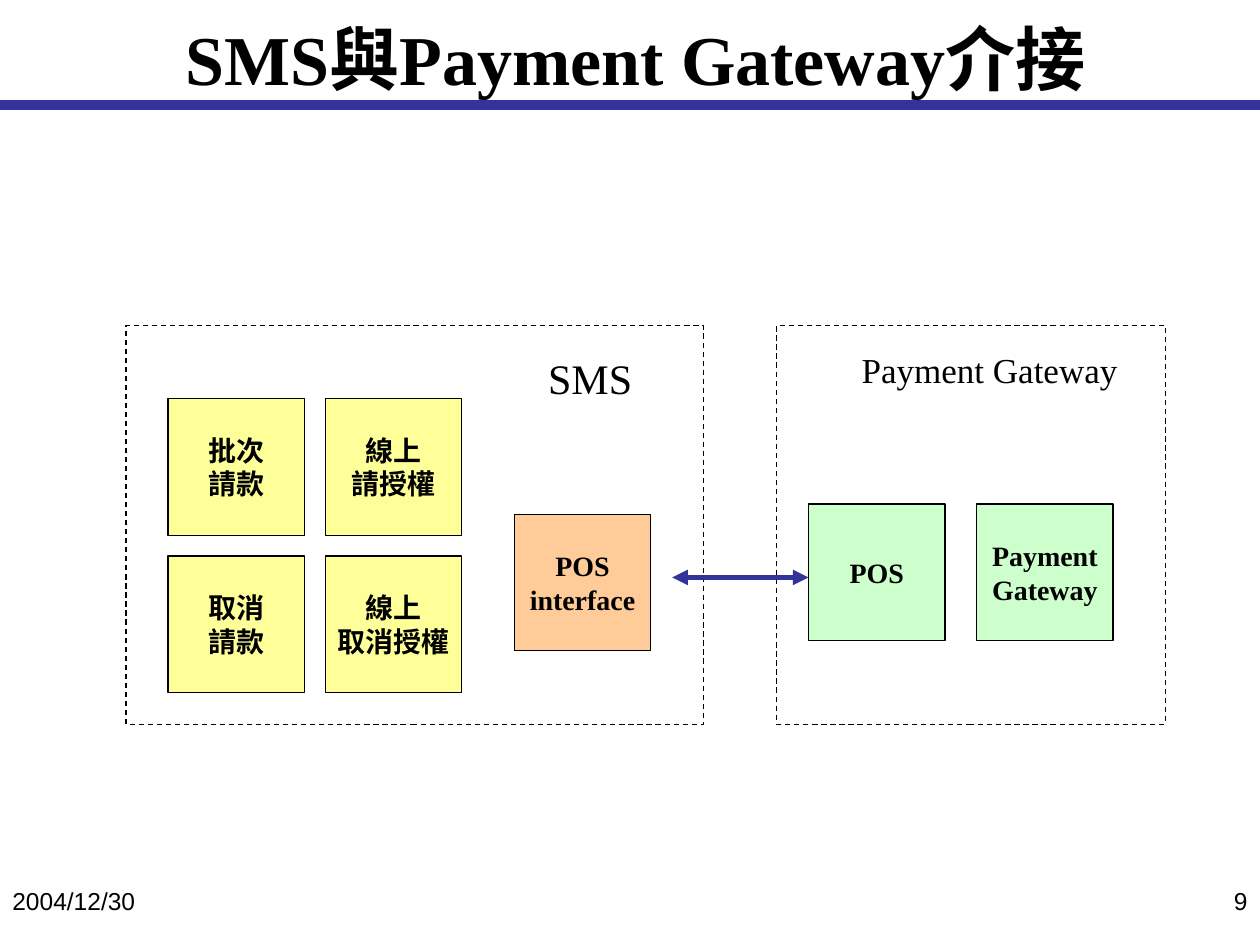
from lxml.etree import SubElement
from pptx import Presentation
from pptx.dml.color import RGBColor
from pptx.enum.dml import MSO_LINE
from pptx.enum.shapes import MSO_CONNECTOR, MSO_SHAPE
from pptx.enum.text import MSO_ANCHOR, PP_ALIGN
from pptx.oxml.ns import qn
from pptx.util import Cm, Pt

COLORS = {
    "black": "000000",
    "blue": "333399",
    "yellow": "FFFF99",
    "orange": "FFCC99",
    "green": "CCFFCC",
}
SERIF = "Times New Roman"
SIDE = 2.75
STEP = SIDE + 0.42


def write(shape, lines, size, font=SERIF, bold=False, align=PP_ALIGN.CENTER,
          anchor=MSO_ANCHOR.MIDDLE, wrap=False):
    frame = shape.text_frame
    frame.word_wrap = wrap
    frame.vertical_anchor = anchor
    for index, line in enumerate(lines):
        para = frame.add_paragraph() if index else frame.paragraphs[0]
        para.alignment = align
        span = para.add_run()
        span.text = line
        span.font.name = font
        span.font.size = Pt(size)
        span.font.bold = bold
        span.font.color.rgb = RGBColor.from_string(COLORS["black"])


def draw_line(page, left, right, height, width):
    line = page.shapes.add_connector(
        MSO_CONNECTOR.STRAIGHT, Cm(left), Cm(height), Cm(right), Cm(height))
    line.line.color.rgb = RGBColor.from_string(COLORS["blue"])
    line.line.width = Pt(width)
    SubElement(line.element.spPr, qn("a:effectLst"))
    return line


deck = Presentation()
deck.slide_width = Cm(25.4)
deck.slide_height = Cm(19.05)
page = deck.slides.add_slide(deck.slide_layouts[5])

title = page.shapes.title
title.left, title.top, title.width, title.height = Cm(0.64), Cm(0), Cm(24.34), Cm(2.33)
write(title, ["SMS與Payment Gateway介接"], 40, bold=True, wrap=True)

title_rule = draw_line(page, 0, 25.4, 2.12, 6)
title.element.addprevious(title_rule.element)

for left, width in [(2.54, 11.64), (15.66, 7.83)]:
    system = page.shapes.add_shape(
        MSO_SHAPE.RECTANGLE, Cm(left), Cm(6.56), Cm(width), Cm(8.04))
    system.shadow.inherit = False
    system.fill.background()
    system.line.color.rgb = RGBColor.from_string(COLORS["black"])
    system.line.width = Pt(0.75)
    system.line.dash_style = MSO_LINE.DASH

modules = [
    (10.37, 10.37, "orange", ["POS", "interface"]),
    (16.3, 10.16, "green", ["POS"]),
    (19.69, 10.16, "green", ["Payment", "Gateway"]),
]
functions = [
    [["批次", "請款"], ["線上", "請授權"]],
    [["取消", "請款"], ["線上", "取消授權"]],
]
for row, labels in enumerate(functions):
    for column, lines in enumerate(labels):
        modules.append((3.39 + STEP * column, 8.04 + STEP * row, "yellow", lines))

for left, top, color, lines in modules:
    box = page.shapes.add_shape(
        MSO_SHAPE.RECTANGLE, Cm(left), Cm(top), Cm(SIDE), Cm(SIDE))
    box.shadow.inherit = False
    box.fill.solid()
    box.fill.fore_color.rgb = RGBColor.from_string(COLORS[color])
    box.line.color.rgb = RGBColor.from_string(COLORS["black"])
    box.line.width = Pt(0.75)
    write(box, lines, 16, bold=True)

link = draw_line(page, 13.55, 16.3, 11.64, 3)
outline = link.line._get_or_add_ln()
for end in ("a:headEnd", "a:tailEnd"):
    SubElement(outline, qn(end)).set("type", "triangle")

labels = [
    (10.8, 6.99, 2.5, 1.27, "SMS", 24, SERIF, PP_ALIGN.LEFT),
    (16.95, 6.91, 6, 1.12, "Payment Gateway", 20, SERIF, PP_ALIGN.CENTER),
    (0, 17.73, 5.92, 1.32, "2004/12/30", 14, "Arial", PP_ALIGN.LEFT),
    (19.48, 17.73, 5.92, 1.32, "9", 14, "Arial", PP_ALIGN.RIGHT),
]
for left, top, width, height, text, size, font, align in labels:
    label = page.shapes.add_textbox(Cm(left), Cm(top), Cm(width), Cm(height))
    write(label, [text], size, font, align=align, anchor=MSO_ANCHOR.TOP, wrap=True)

deck.save("out.pptx")
